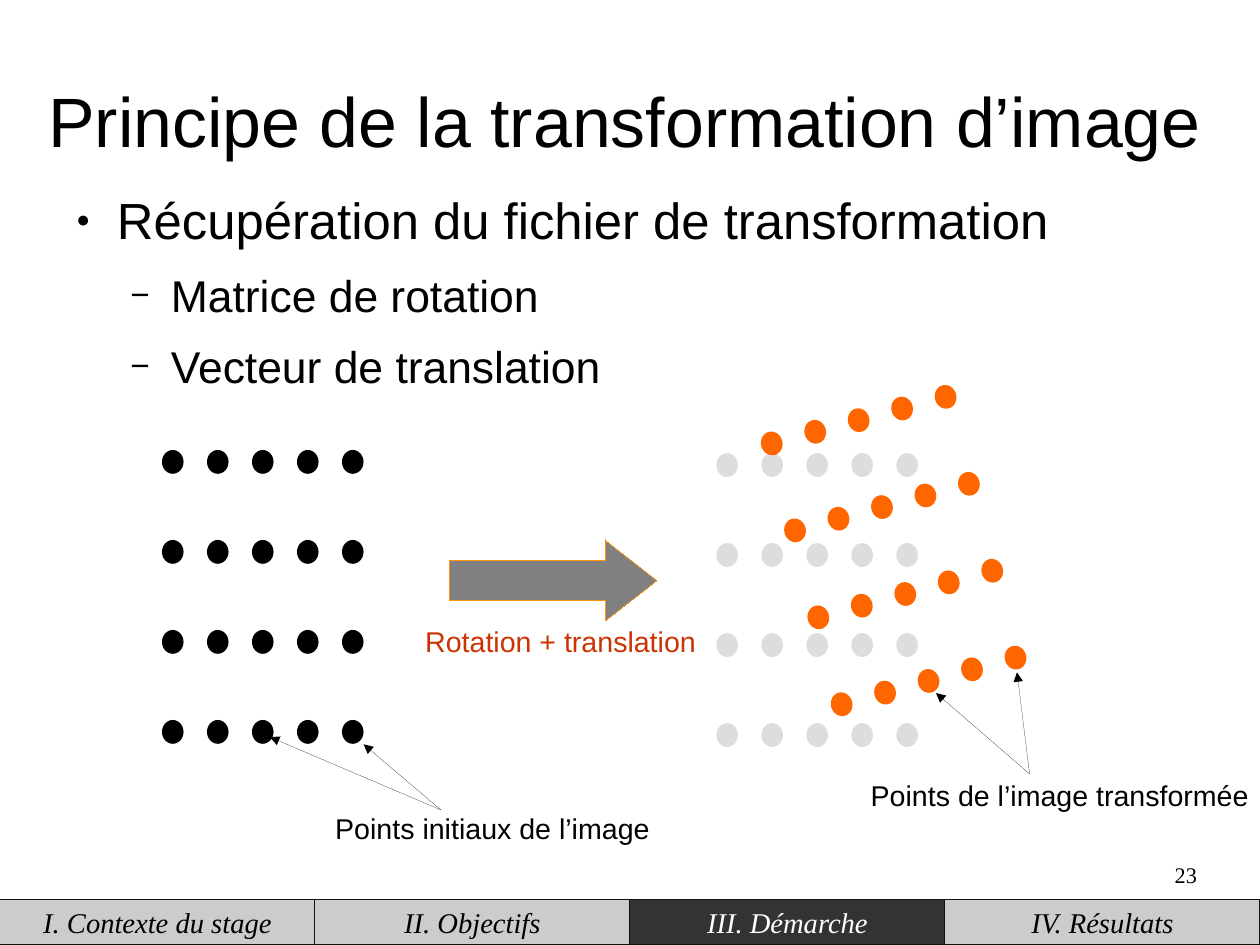
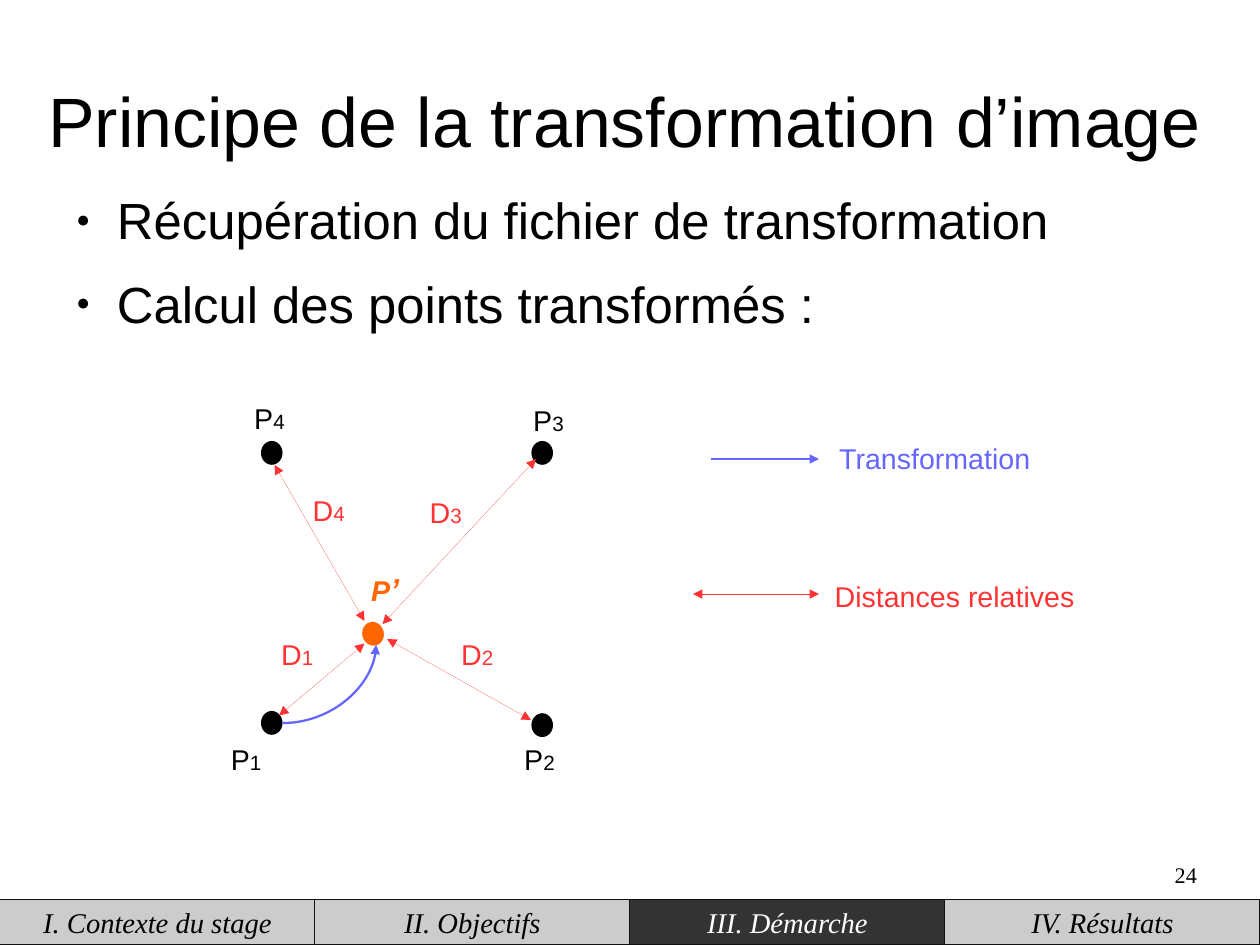
from math import cos, radians, sin

from lxml import etree
from pptx import Presentation
from pptx.dml.color import RGBColor
from pptx.enum.shapes import MSO_CONNECTOR, MSO_SHAPE
from pptx.enum.text import MSO_ANCHOR, MSO_AUTO_SIZE, PP_ALIGN
from pptx.oxml.ns import qn
from pptx.util import Cm, Pt

OVAL, RECT, ARROW = MSO_SHAPE.OVAL, MSO_SHAPE.RECTANGLE, MSO_SHAPE.RIGHT_ARROW
LINE, CURVE = MSO_CONNECTOR.STRAIGHT, MSO_CONNECTOR.CURVE
MID, TOP = MSO_ANCHOR.MIDDLE, MSO_ANCHOR.TOP
LEFT, MIDDLE, RIGHT = PP_ALIGN.LEFT, PP_ALIGN.CENTER, PP_ALIGN.RIGHT
FIXED = MSO_AUTO_SIZE.NONE

BLACK, WHITE, ORANGE, RED, BLUE = "000000", "FFFFFF", "FF6600", "FF3333", "6666FF"
PALE, RUST, GREY, AMBER = "DDDDDD", "CC3300", "808080", "FF950E"
BAND, DARK, EDGE = "CCCCCC", "333333", "111111"
SANS, SERIF = "Arial", "Times New Roman"

# The slide is a grid of 28 columns and 21 rows of square cells
deck = Presentation()
deck.slide_width, deck.slide_height = Cm(28), Cm(21)
CELL = deck.slide_width / 28


def grid(*cells):
    return [round(n * CELL) for n in cells]


def write(para, text, color, size, **look):
    run = para.add_run()
    run.text = text
    font = run.font
    for key, val in {"name": SANS, "size": Pt(size), **look}.items():
        setattr(font, key, val)
    font.color.rgb = RGBColor.from_string(color)


# Shared parts
TITLE = "Principe de la transformation d’image"
PARTS = ["I. Contexte du stage", "II. Objectifs", "III. Démarche", "IV. Résultats"]
HERE = 2
LEVELS = [
    {"size": 32, "left": 1.2, "gap": 14.2, "mark": "●", "share": 45},
    {"size": 28, "left": 2.4, "gap": 11.3, "mark": "−", "share": 75},
]
HANG = 0.9
DOT = (0.48, 0.53)
TILT = 15

# Point grids: 4 rows of 5, upright or turned by the tilt
plain = [(col, 2 * row) for row in range(4) for col in range(5)]
c, s = cos(radians(TILT)), sin(radians(TILT))
start = [(3.6 + x, 10 + y) for x, y in plain]
ghost = [(15.92 + x, 10.07 + y) for x, y in plain]
moved = [(16.91 + x * c + y * s, 9.59 - x * s + y * c) for x, y in plain]

# dots: places, colour, turn; lines: kind, from, to, colour, width, both ends
# tags: box, colour, runs of text and size, bold italic
SMALL = (1.4, 0.97)
marks = [("D", "3", 9.3, 10.9), ("D", "2", 10, 14.05), ("D", "1", 6, 14.05),
         ("D", "4", 6.7, 10.85), ("P", "4", 5.4, 8.8), ("P", "3", 11.6, 8.84),
         ("P", "2", 11.4, 16.39), ("P", "1", 4.88, 16.39)]
pages = [
    {
        "num": "23",
        "list": [("Récupération du fichier de transformation", 0),
                 ("Matrice de rotation", 1), ("Vecteur de translation", 1)],
        "dots": [(start, BLACK, 0), (ghost, PALE, 0), (moved, ORANGE, -TILT)],
        "arrows": [(10, 12, 4.6, 1.8)],
        "lines": [(LINE, *ends, BLACK, 0, False) for ends in (
            (9.8, 18, 8.08, 16.54), (9.8, 18, 6, 16.38),
            (22.88, 17.2, 22.6, 14.94), (22.88, 17.2, 20.8, 15.4))],
        "tags": [
            ((7.2, 17.2, 9.2, 2.4), BLACK, [("Points initiaux de l’image", 18)], None),
            ((19.1, 16.47, 8.9, 2.4), BLACK, [("Points de l’image transformée", 18)], None),
            ((9.2, 13.4, 6.8, 1.68), RUST, [("Rotation + translation", 18)], None)],
    },
    {
        "num": "24",
        "list": [("Récupération du fichier de transformation", 0),
                 ("Calcul des points transformés :", 0)],
        "dots": [([(11.81, 15.85), (5.8, 15.8), (11.81, 9.8), (5.8, 9.8)], BLACK, 0),
                 ([(8.05, 13.82)], ORANGE, -TILT)],
        "arrows": [],
        "lines": [(CURVE, 6.28, 16.07, 8.36, 14.33, BLUE, 1.42, False),
                  (LINE, 15.8, 10.2, 18.2, 10.2, BLUE, 1.42, False)]
        + [(LINE, *ends, RED, 0, True) for ends in (
            (6.2, 15.9, 8.1, 14.3), (6.1, 10.33, 8.1, 13.8),
            (11.91, 10.2, 8.5, 13.87), (8.6, 14.2, 11.8, 16),
            (15.4, 13.2, 18.2, 13.2))],
        "tags": [
            ((18.4, 9.7, 5.2, 0.97), BLUE, [("Transformation", 18)], None),
            ((18.3, 12.4, 6.8, 1.68), RED, [("Distances relatives", 18)], None),
            ((8, 12.57, 1.4, 1.04), ORANGE, [("P", 18), ("’", 20)], True)]
        + [((x, y, *SMALL), RED if name == "D" else BLACK, [(name, 18), (sub, 13)], None)
           for name, sub, x, y in marks],
    },
]

for page in pages:
    slide = deck.slides.add_slide(deck.slide_layouts[5])
    shapes = slide.shapes
    flat = []

    # Title
    head = shapes.title
    head.left, head.top, head.width, head.height = grid(1, 0.9, 25.8, 3.5)
    frame = head.text_frame
    for key, val in {"margin_left": 0, "margin_right": 0, "margin_top": 0,
                     "margin_bottom": 0, "auto_size": FIXED, "word_wrap": True,
                     "vertical_anchor": MID}.items():
        setattr(frame, key, val)
    frame.paragraphs[0].alignment = MIDDLE
    write(frame.paragraphs[0], TITLE, BLACK, 44)

    # Bulleted list
    frame = shapes.add_textbox(*grid(1.4, 4.2, 25.2, 5)).text_frame
    for key, val in {"margin_left": 0, "margin_right": 0, "margin_top": 0,
                     "margin_bottom": 0, "word_wrap": True,
                     "vertical_anchor": TOP}.items():
        setattr(frame, key, val)
    for i, (text, depth) in enumerate(page["list"]):
        para = frame.add_paragraph() if i else frame.paragraphs[0]
        level = LEVELS[depth]
        para.level = depth
        if i:
            para.space_before = Pt(level["gap"])
        props = para._p.get_or_add_pPr()
        left, hang = grid(level["left"], HANG)
        props.set("marL", str(left))
        props.set("indent", str(-hang))
        for tag, key, val in (("a:buSzPct", "val", str(level["share"] * 1000)),
                              ("a:buFont", "typeface", SANS),
                              ("a:buChar", "char", level["mark"])):
            etree.SubElement(props, qn(tag)).set(key, val)
        write(para, text, BLACK, level["size"])

    # Dots, grouped when they form a grid
    for spots, color, turn in page["dots"]:
        home = shapes.add_group_shape().shapes if len(spots) > 4 else shapes
        for spot in spots:
            dot = home.add_shape(OVAL, *grid(*spot, *DOT))
            dot.rotation = turn
            flat.append((dot, color, None))

    # Block arrow
    for box in page["arrows"]:
        arrow = shapes.add_shape(ARROW, *grid(*box))
        arrow.adjustments[1] = 0.64
        flat.append((arrow, GREY, AMBER))

    # Lines with arrowheads
    for kind, x1, y1, x2, y2, color, width, both in page["lines"]:
        link = shapes.add_connector(kind, *grid(x1, y1, x2, y2))
        link.line.color.rgb = RGBColor.from_string(color)
        props = link._element.spPr
        if kind == CURVE:
            props.find(qn("a:prstGeom")).set("prst", "curvedConnector2")
        stroke = props.find(qn("a:ln"))
        stroke.set("w", str(Pt(width)))
        for end in ["headEnd", "tailEnd"] if both else ["tailEnd"]:
            etree.SubElement(stroke, qn("a:" + end)).set("type", "triangle")
        etree.SubElement(props, qn("a:effectLst"))

    # Labels
    for box, color, runs, strong in page["tags"]:
        frame = shapes.add_textbox(*grid(*box)).text_frame
        for key, val in {"word_wrap": True, "margin_right": 0,
                         "vertical_anchor": MID}.items():
            setattr(frame, key, val)
        frame.paragraphs[0].alignment = LEFT
        for text, size in runs:
            write(frame.paragraphs[0], text, color, size, bold=strong, italic=strong)

    # Band of parts along the foot
    band = shapes.add_group_shape().shapes
    for i, part in enumerate(PARTS):
        cell = band.add_shape(RECT, *grid(7 * i, 20, 7, 1))
        flat.append((cell, DARK if i == HERE else BAND, EDGE))
        cell.text_frame.word_wrap = False
        cell.text_frame.vertical_anchor = MID
        para = cell.text_frame.paragraphs[0]
        para.alignment = MIDDLE
        write(para, part, WHITE if i == HERE else BLACK, 18, name=SERIF, italic=True)

    # Page number
    frame = shapes.add_textbox(*grid(20.1, 19.13, 6.5, 0.8)).text_frame
    for key in ("margin_left", "margin_right", "margin_top", "margin_bottom"):
        setattr(frame, key, 0)
    frame.word_wrap = True
    frame.paragraphs[0].alignment = RIGHT
    write(frame.paragraphs[0], page["num"], BLACK, 14, name=SERIF)

    # Fill and hairline outline of every preset shape
    for shape, fill, edge in flat:
        shape.shadow.inherit = False
        shape.fill.solid()
        shape.fill.fore_color.rgb = RGBColor.from_string(fill)
        if edge:
            shape.line.color.rgb = RGBColor.from_string(edge)
            shape._element.spPr.find(qn("a:ln")).set("w", "0")
        else:
            shape.line.fill.background()

deck.save("out.pptx")
